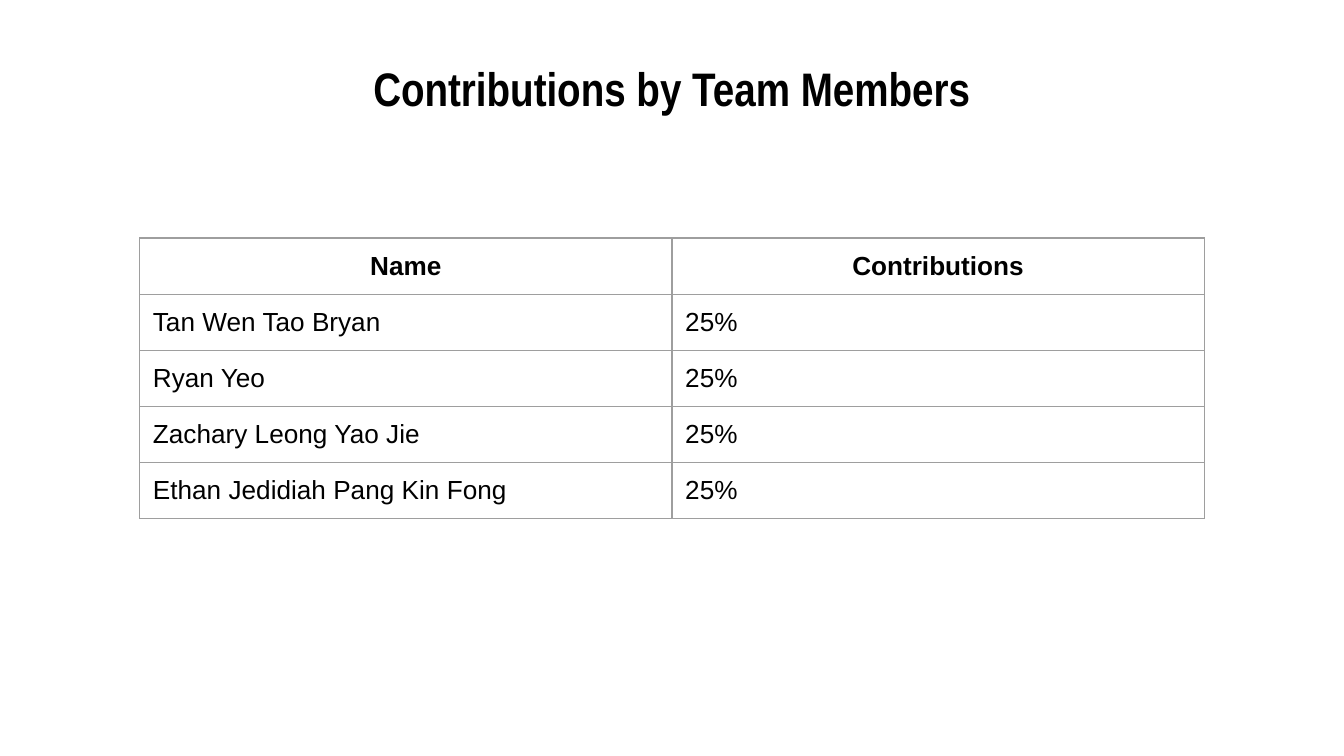
"""Build the slide that lists each team member's contribution."""
from dataclasses import dataclass

from lxml import etree
from pptx import Presentation, util as u
from pptx.dml.color import RGBColor
from pptx.enum import text
from pptx.oxml import ns
from pptx.slide import Slide
from pptx.table import _Cell
from pptx.text.text import TextFrame

COLORS = {"background": "FFFFFF", "ink": "000000", "border": "9E9E9E"}
INSET = u.Cm(0.25)
BORDER_WIDTH = u.Pt(0.75)
COLUMN_WIDTH = u.Cm(10.06)
ROW_HEIGHT = u.Cm(1.06)


@dataclass(frozen=True)
class TextStyle:
    font: str
    size: float
    bold: bool = False
    align: text.PP_ALIGN = text.PP_ALIGN.LEFT


@dataclass(frozen=True)
class Contribution:
    name: str
    share: str


TITLE = TextStyle("Arial Narrow", 25.2, True, text.PP_ALIGN.CENTER)
HEADER = TextStyle("Arial", 14, True, text.PP_ALIGN.CENTER)
BODY = TextStyle("Arial", 14)

HEADINGS = Contribution("Name", "Contributions")
MEMBERS = [
    Contribution("Tan Wen Tao Bryan", "25%"),
    Contribution("Ryan Yeo", "25%"),
    Contribution("Zachary Leong Yao Jie", "25%"),
    Contribution("Ethan Jedidiah Pang Kin Fong", "25%"),
]


def write(frame: TextFrame, words: str, style: TextStyle) -> None:
    """Put one styled paragraph in a text frame."""
    para = frame.paragraphs[0]
    para.text = words
    para.alignment = style.align
    para.font.name = style.font
    para.font.size = u.Pt(style.size)
    para.font.bold = style.bold
    para.font.color.rgb = RGBColor.from_string(COLORS["ink"])


def set_margins(box: TextFrame | _Cell) -> None:
    """Give a text frame or cell equal margins."""
    box.margin_left = box.margin_right = INSET
    box.margin_top = box.margin_bottom = INSET


def add_borders(cell: _Cell) -> None:
    """Draw a thin line on all four sides of a cell."""
    properties = cell._tc.get_or_add_tcPr()
    for side in ("a:lnL", "a:lnR", "a:lnT", "a:lnB"):
        line = etree.SubElement(properties, ns.qn(side), w=str(BORDER_WIDTH))
        fill = etree.SubElement(line, ns.qn("a:solidFill"))
        etree.SubElement(fill, ns.qn("a:srgbClr"), val=COLORS["border"])


def add_title(page: Slide, words: str) -> None:
    """Place and fill the title placeholder."""
    title = page.shapes.title
    title.left, title.top = u.Cm(1.27), u.Cm(1.14)
    title.width, title.height = u.Cm(22.86), u.Cm(1.04)
    frame = title.text_frame
    frame.word_wrap = True
    frame.auto_size = text.MSO_AUTO_SIZE.NONE
    frame.vertical_anchor = text.MSO_ANCHOR.MIDDLE
    set_margins(frame)
    write(frame, words, TITLE)


def add_contributions(page: Slide, rows: list[Contribution]) -> None:
    """Draw the table, whose first row holds the headings."""
    table = page.shapes.add_table(
        len(rows), 2, u.Cm(2.64), u.Cm(4.5), 2 * COLUMN_WIDTH, len(rows) * ROW_HEIGHT
    ).table
    table.horz_banding = False
    for column in table.columns:
        column.width = COLUMN_WIDTH
    for index, row in enumerate(rows):
        table.rows[index].height = ROW_HEIGHT
        for cell, words in zip(table.rows[index].cells, (row.name, row.share)):
            set_margins(cell)
            add_borders(cell)
            cell.fill.background()
            write(cell.text_frame, words, BODY if index else HEADER)


def main() -> None:
    """Build and save the deck."""
    deck = Presentation()
    deck.slide_width, deck.slide_height = u.Cm(25.4), u.Cm(14.29)
    page = deck.slides.add_slide(deck.slide_layouts.get_by_name("Title Only"))
    page.background.fill.solid()
    page.background.fill.fore_color.rgb = RGBColor.from_string(COLORS["background"])
    add_title(page, "Contributions by Team Members")
    add_contributions(page, [HEADINGS, *MEMBERS])
    deck.save("out.pptx")


if __name__ == "__main__":
    main()
